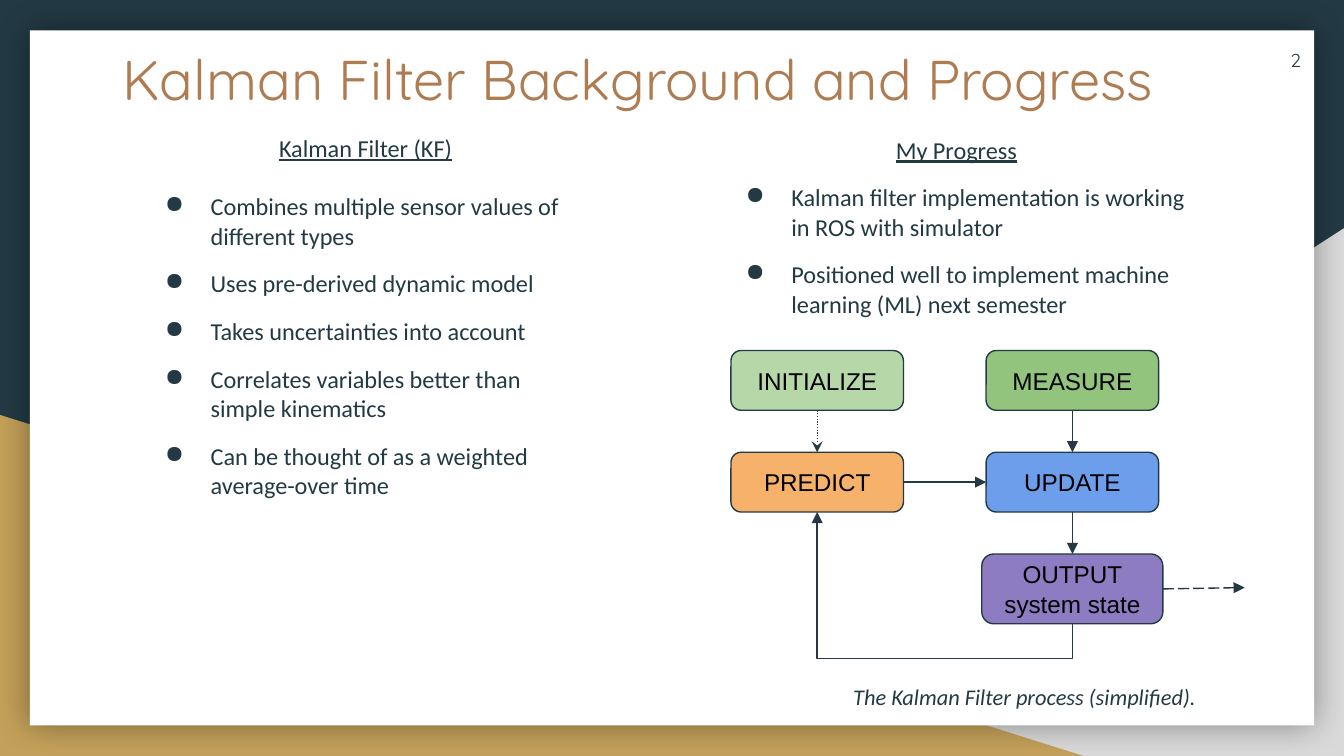
from lxml import etree
from pptx import Presentation
from pptx.dml.color import RGBColor
from pptx.enum.dml import MSO_LINE
from pptx.enum.shapes import MSO_CONNECTOR, MSO_SHAPE
from pptx.enum.text import MSO_ANCHOR, PP_ALIGN
from pptx.oxml.ns import qn
from pptx.util import Pt

LEFT, CENTER, RIGHT = PP_ALIGN.LEFT, PP_ALIGN.CENTER, PP_ALIGN.RIGHT
TOP, MIDDLE = MSO_ANCHOR.TOP, MSO_ANCHOR.MIDDLE
RECT, ROUND = MSO_SHAPE.RECTANGLE, MSO_SHAPE.ROUNDED_RECTANGLE
WEDGE = MSO_SHAPE.RIGHT_TRIANGLE
STRAIGHT, ELBOW = MSO_CONNECTOR.STRAIGHT, MSO_CONNECTOR.ELBOW
DOT, DASH = MSO_LINE.ROUND_DOT, MSO_LINE.LONG_DASH

COLORS = {
    "navy": "233A44", "gray": "D9D9D9", "gold": "C4A15A", "white": "FFFFFF",
    "copper": "AF7B51", "black": "000000", "mint": "B6D7A8",
    "green": "93C47D", "orange": "F6B26B", "blue": "6D9EEB",
    "purple": "8E7CC3",
}


def node(parent, tag, **attrs):
    """Append a DrawingML element with the given attributes."""
    item = etree.SubElement(parent, qn("a:" + tag))
    for key, value in attrs.items():
        item.set(key, str(value))
    return item


class Deck:
    inset = 7.2
    body = {"name": "Calibri", "size": Pt(13)}
    label = {"name": "Arial", "size": Pt(13)}

    def __init__(self, slide):
        self.slide = slide
        self.shapes = slide.shapes

    def color(self, name):
        return RGBColor.from_string(COLORS[name])

    def paint(self, fill, name):
        fill.solid()
        fill.fore_color.rgb = self.color(name)

    def letter(self, frame, items, font, ink="navy", anchor=TOP):
        """Fill a frame with (text, paragraph format, font format, bullet)."""
        frame.word_wrap = True
        frame.vertical_anchor = anchor
        for side in ("left", "top", "right", "bottom"):
            setattr(frame, "margin_" + side, Pt(self.inset))
        for i, (text, look, extra, mark) in enumerate(items):
            para = frame.add_paragraph() if i else frame.paragraphs[0]
            for key, value in look.items():
                setattr(para, key, value)
            if mark:
                self.bullet(para)
            run = para.add_run()
            run.text = text
            for key, value in {**font, **extra}.items():
                setattr(run.font, key, value)
            run.font.color.rgb = self.color(ink)

    def bullet(self, para):
        props = para._p.get_or_add_pPr()
        props.set("marL", str(Pt(36)))
        props.set("indent", str(Pt(-24.5)))
        node(node(props, "buClr"), "srgbClr", val=COLORS["navy"])
        node(props, "buChar", char="●")

    def text(self, box, items, font, ink="navy", anchor=TOP):
        shape = self.shapes.add_textbox(*map(Pt, box))
        self.letter(shape.text_frame, items, font, ink, anchor)

    def column(self, box, head, points, gap):
        """Underlined heading over a bullet list; gap precedes the list."""
        items = [(head, {"alignment": CENTER}, {"underline": True}, False)]
        for i, point in enumerate(points):
            look = {"alignment": LEFT, "space_before": Pt(10 if i else gap)}
            items.append((point, look, {}, True))
        self.text(box, items, self.body)

    def shape(self, kind, box, fill, flip=False):
        shape = self.shapes.add_shape(kind, *map(Pt, box))
        shape.shadow.inherit = False
        self.paint(shape.fill, fill)
        shape.line.fill.background()
        if flip:
            shape._element.spPr.xfrm.set("flipH", "1")
        return shape

    def panel(self, box):
        shape = self.shape(RECT, box, "white")
        effects = shape._element.spPr.find(qn("a:effectLst"))
        glow = node(effects, "outerShdw", blurRad=Pt(18), dist=0, dir=0,
                    algn="ctr", rotWithShape=0)
        tint = node(glow, "srgbClr", val=COLORS["black"])
        node(tint, "alpha", val=40000)

    def step(self, mid, size, fill, lines):
        """Rounded flow box centred on mid."""
        (x, y), (w, h) = mid, size
        shape = self.shape(ROUND, (x - w / 2, y - h / 2, w, h), fill)
        shape.adjustments[0] = 0.17
        shape.line.width = Pt(0.75)
        shape.line.color.rgb = self.color("navy")
        items = [(t, {"alignment": CENTER}, {}, False) for t in lines]
        self.letter(shape.text_frame, items, self.label, "black", MIDDLE)

    def arrow(self, start, end, kind=STRAIGHT, dash=None, head="triangle"):
        link = self.shapes.add_connector(kind, *map(Pt, (*start, *end)))
        link.line.width = Pt(0.75)
        link.line.color.rgb = self.color("navy")
        if dash:
            link.line.dash_style = dash
        props = link._element.spPr
        node(props.find(qn("a:ln")), "tailEnd", type=head)
        node(props, "effectLst")
        return link

    def loop(self, start, end, drop):
        """Elbow leaving start downwards by drop and rising to end."""
        (x1, y1), (x2, y2) = start, end
        w, h = y1 - y2, x1 - x2
        x, y = (x1 + x2 - w) / 2, (y1 + y2 - h) / 2
        link = self.arrow((x, y), (x + w, y + h), ELBOW)
        props = link._element.spPr
        props.xfrm.set("rot", "5400000")
        props.xfrm.set("flipH", "1")
        guides = props.find(qn("a:prstGeom")).find(qn("a:avLst"))
        node(guides, "gd", name="adj1", fmla=f"val {round(-drop / w * 100000)}")


def main():
    deck = Presentation()
    deck.slide_width, deck.slide_height = Pt(720), Pt(405)
    page = Deck(deck.slides.add_slide(deck.slide_layouts[6]))

    # Backdrop
    page.paint(page.slide.background.fill, "navy")
    page.shape(WEDGE, (282, 122.3, 438, 282.7), "gray", flip=True)
    page.shape(WEDGE, (0, 222.3, 580.5, 182.7), "gold")
    page.panel((16, 16.3, 688, 372.4))

    # Title and page number
    page.text((58.3, 16.5, 591, 48),
              [("Kalman Filter Background and Progress", {}, {}, False)],
              {"name": "Quicksand", "size": Pt(30)}, "copper")
    page.text((661, 16.5, 43, 31), [("2", {"alignment": RIGHT}, {}, False)],
              {"name": "Quicksand", "size": Pt(10)}, anchor=MIDDLE)

    # Text columns
    page.column((69.8, 64.1, 252, 270), "Kalman Filter (KF)", [
        "Combines multiple sensor values of different types",
        "Uses pre-derived dynamic model",
        "Takes uncertainties into account",
        "Correlates variables better than simple kinematics",
        "Can be thought of as a weighted average-over time",
    ], gap=15.8)
    page.column((380.9, 65, 262.8, 114.5), "My Progress", [
        "Kalman filter implementation is working in ROS with simulator",
        "Positioned well to implement machine learning (ML) next semester",
    ], gap=10)

    # Flow boxes
    near, far = 437.8, 574.5
    top, mid, low = 203.8, 258.3, 315.5
    size, wide = (92.4, 32), (97, 37.4)
    for spot, area, fill, lines in [
        ((near, top), size, "mint", ["INITIALIZE"]),
        ((far, top), size, "green", ["MEASURE"]),
        ((near, mid), size, "orange", ["PREDICT"]),
        ((far, mid), size, "blue", ["UPDATE"]),
        ((far, low), wide, "purple", ["OUTPUT", "system state"]),
    ]:
        page.step(spot, area, fill, lines)

    # Flow arrows
    half, rise = size[0] / 2, size[1] / 2
    edge, base = far + wide[0] / 2, low + wide[1] / 2
    page.arrow((near, top + rise), (near, mid - rise), dash=DOT, head="stealth")
    page.arrow((far, top + rise), (far, mid - rise))
    page.arrow((near + half, mid), (far - half, mid))
    page.arrow((far, mid + rise), (far, low - wide[1] / 2))
    page.arrow((edge, low), (666.8, 314.8), dash=DASH)
    page.loop((far, base), (near, mid + rise), 18.7)

    # Caption
    page.text((450, 356.4, 219, 30),
              [("The Kalman Filter process (simplified).",
                {"line_spacing": 1.15}, {"italic": True}, False)],
              {"name": "Calibri", "size": Pt(12)})

    deck.save("out.pptx")


if __name__ == "__main__":
    main()
